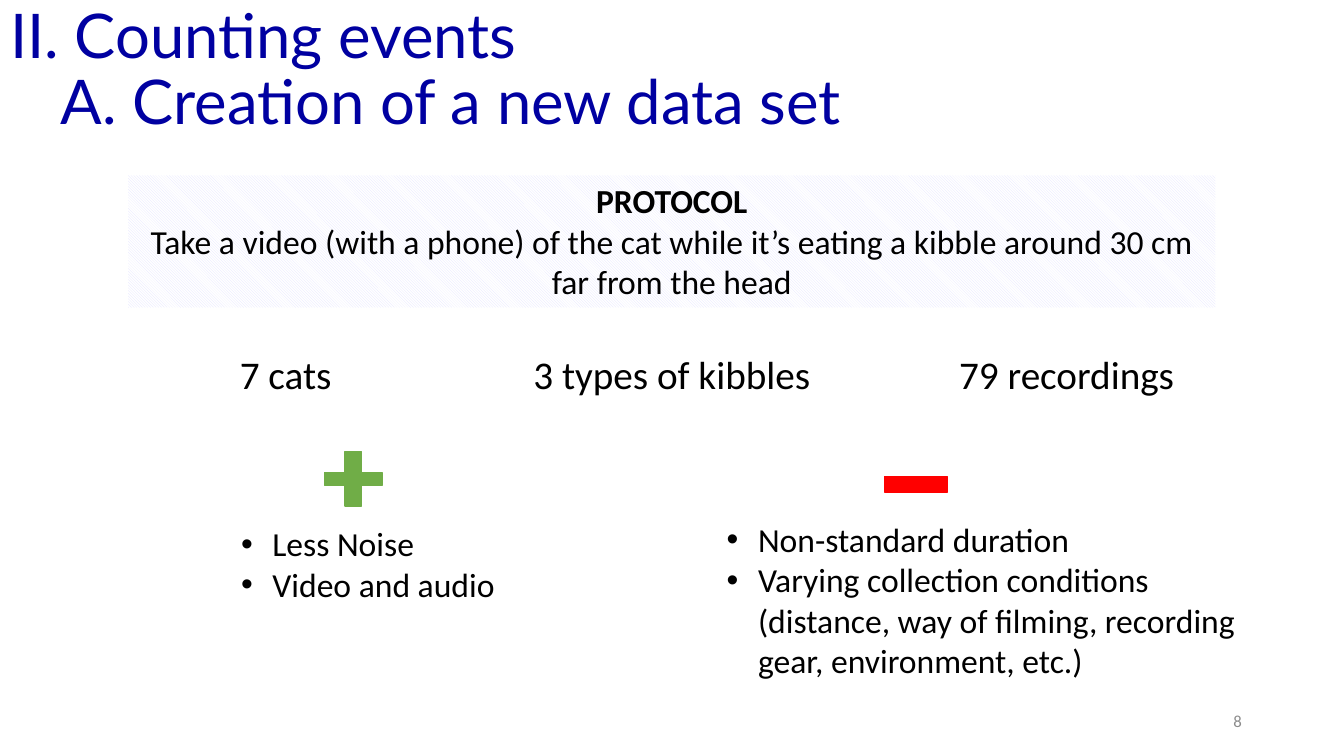
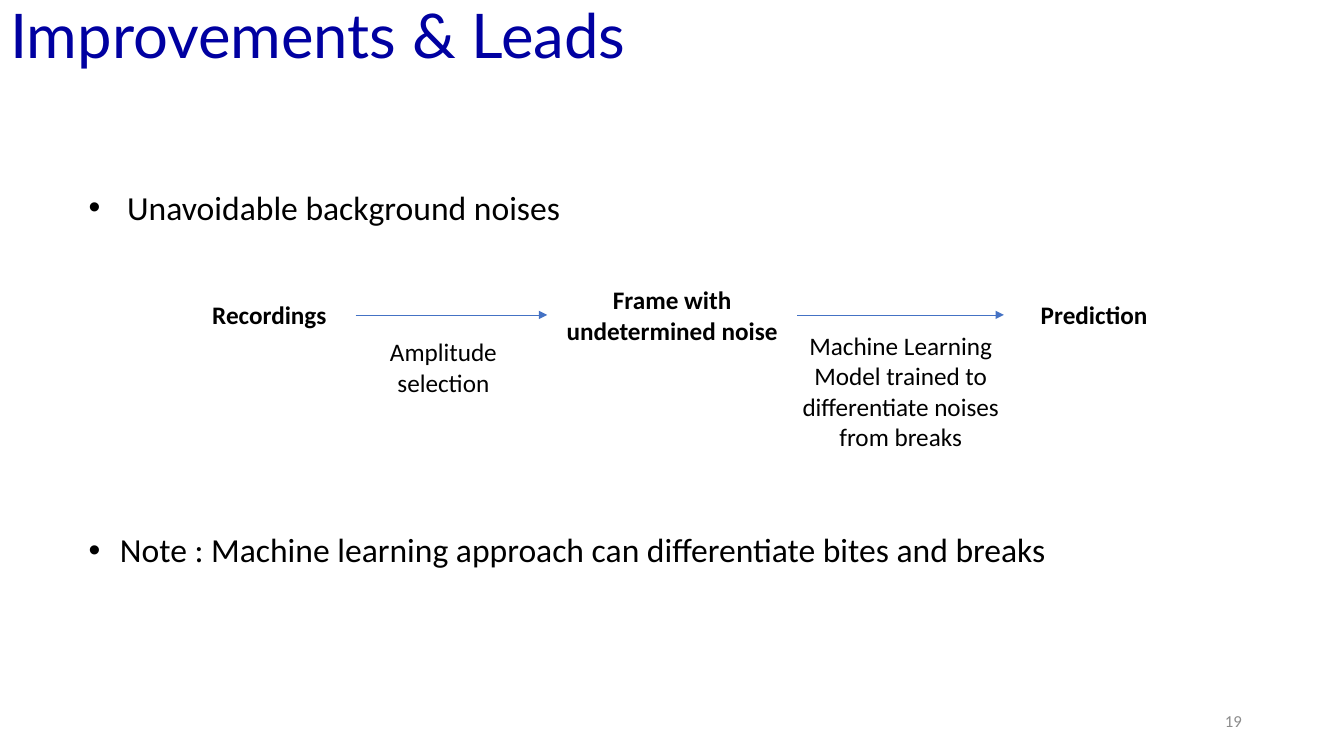
from dataclasses import dataclass

from lxml.etree import SubElement
from pptx import Presentation
from pptx.dml.color import RGBColor
from pptx.enum.dml import MSO_PATTERN
from pptx.enum.shapes import MSO_CONNECTOR, MSO_SHAPE
from pptx.enum.text import MSO_ANCHOR, MSO_AUTO_SIZE, PP_ALIGN
from pptx.oxml.ns import qn
from pptx.presentation import Presentation as Deck
from pptx.shapes.autoshape import Shape
from pptx.shapes.base import BaseShape
from pptx.slide import Slide
from pptx.util import Cm, Pt

COLORS = {
    "title": "0000A1",
    "text": "000000",
    "number": "8C8C8C",
    "stripe": "E1E1FF",
    "white": "FFFFFF",
    "plus": "70AD47",
    "minus": "FF0000",
    "arrow": "4472C4",
}
TITLE_FONT = "Lato"
BODY_FONT = "Calibri"
TWO_CONTENT = 3
LEFT_SIDE, RIGHT_SIDE = 1, 3


@dataclass
class Box:
    """Position and size in centimetres."""
    left: float
    top: float
    width: float
    height: float

    def lengths(self) -> tuple[Cm, Cm, Cm, Cm]:
        return Cm(self.left), Cm(self.top), Cm(self.width), Cm(self.height)


@dataclass
class Label:
    text: str
    box: Box
    size: int


@dataclass
class BulletList:
    items: list[str]
    box: Box
    indent: float = 0.79


@dataclass
class Sign:
    preset: MSO_SHAPE
    box: Box
    color: str


TITLE_BOX = Box(0, 0, 33.87, 3.68)
NUMBER_BOX = Box(23.93, 17.65, 7.62, 1.02)


def rgb(name: str) -> RGBColor:
    return RGBColor.from_string(COLORS[name])


def place(s: BaseShape, box: Box) -> None:
    s.left, s.top, s.width, s.height = box.lengths()


def write(s: Shape, text: str, size: int, align: PP_ALIGN = PP_ALIGN.CENTER,
          anchor: MSO_ANCHOR = MSO_ANCHOR.TOP, bold: bool = False,
          color: str = "text", font: str = BODY_FONT) -> None:
    tf = s.text_frame
    tf.text = text
    tf.word_wrap = True
    tf.auto_size = MSO_AUTO_SIZE.NONE
    tf.vertical_anchor = anchor
    for p in tf.paragraphs:
        p.alignment = align
        for r in p.runs:
            r.font.name = font
            r.font.size = Pt(size)
            r.font.bold = bold
            r.font.color.rgb = rgb(color)


def add_label(sp: Slide, label: Label) -> None:
    s = sp.shapes.add_textbox(*label.box.lengths())
    write(s, label.text, label.size)


def add_shape(sp: Slide, preset: MSO_SHAPE, box: Box) -> Shape:
    """Add a preset shape without shadow, fill or line."""
    s = sp.shapes.add_shape(preset, *box.lengths())
    s.shadow.inherit = False
    s.fill.background()
    s.line.fill.background()
    return s


def add_slide(prs: Deck, title: str, number: int, lists: list[BulletList]) -> Slide:
    sp = prs.slides.add_slide(prs.slide_layouts[TWO_CONTENT])
    place(sp.shapes.title, TITLE_BOX)
    write(sp.shapes.title, title, 44, PP_ALIGN.LEFT, color="title", font=TITLE_FONT)
    sp.shapes.title.text_frame.paragraphs[0].line_spacing = 0.9

    s = sp.shapes.add_textbox(*NUMBER_BOX.lengths())
    write(s, str(number), 12, PP_ALIGN.RIGHT, MSO_ANCHOR.MIDDLE, color="number")

    for idx, bullets in enumerate(lists, start=1):
        fill_list(sp.placeholders[idx], bullets)
    return sp


def fill_list(s: Shape, bullets: BulletList) -> None:
    place(s, bullets.box)
    write(s, "\n".join(bullets.items), 24, PP_ALIGN.LEFT)
    for p in s.text_frame.paragraphs:
        p.space_before = Pt(0)
        pPr = p._p.get_or_add_pPr()
        pPr.set("marL", str(Cm(bullets.indent)))
        pPr.set("indent", str(-Cm(bullets.indent)))


def add_sign(sp: Slide, sign: Sign) -> Shape:
    s = add_shape(sp, sign.preset, sign.box)
    s.fill.solid()
    s.fill.fore_color.rgb = rgb(sign.color)
    s.line.color.rgb = rgb(sign.color)
    s.line.width = Pt(1)
    return s


def add_arrow(sp: Slide, start: Shape, end: Shape) -> None:
    s = sp.shapes.add_connector(MSO_CONNECTOR.STRAIGHT, 0, 0, 0, 0)
    s.begin_connect(start, RIGHT_SIDE)
    s.end_connect(end, LEFT_SIDE)
    s.line.color.rgb = rgb("arrow")
    s.line.width = Pt(0.5)
    SubElement(s.line._get_or_add_ln(), qn("a:tailEnd"), type="triangle")
    SubElement(s._element.spPr, qn("a:effectLst"))


def add_protocol(sp: Slide) -> None:
    s = add_shape(sp, MSO_SHAPE.RECTANGLE, Box(3.23, 4.42, 27.4, 3.33))
    s.fill.patterned()
    s.fill.pattern = MSO_PATTERN.LIGHT_DOWNWARD_DIAGONAL
    s.fill.fore_color.rgb = rgb("stripe")
    s.fill.back_color.rgb = rgb("white")
    write(s, "PROTOCOL\nTake a video (with a phone) of the cat while it’s eating "
             "a kibble around 30 cm far from the head", 24)
    s.text_frame.paragraphs[0].runs[0].font.bold = True


def build_data_set(prs: Deck) -> None:
    sp = add_slide(prs, "II. Counting events\v\tA. Creation of a new data set", 8, [
        BulletList(["Less Noise", "Video and audio"], Box(5.82, 13.06, 10.29, 3.33)),
        BulletList(["Non-standard duration",
                    "Varying collection conditions (distance, way of filming, "
                    "recording gear, environment, etc.)"],
                   Box(18.06, 12.95, 13.46, 4.37)),
    ])
    add_protocol(sp)
    for text, left in (("7 cats", 3.43), ("3 types of kibbles", 13.16),
                       ("79 recordings", 23.11)):
        add_label(sp, Label(text, Box(left, 8.71, 7.54, 1.45), 28))

    plus = add_sign(sp, Sign(MSO_SHAPE.CROSS, Box(8.18, 11.38, 1.45, 1.37), "plus"))
    plus.adjustments[0] = 0.38
    add_sign(sp, Sign(MSO_SHAPE.MATH_MINUS, Box(22, 11.38, 2.16, 1.65), "minus"))


def build_improvements(prs: Deck) -> None:
    sp = add_slide(prs, "Improvements & Leads", 19, [
        BulletList(["Unavoidable background noises"], Box(1.98, 4.57, 13.41, 1.27), 0.97),
        BulletList(["Note : Machine learning approach can differentiate bites and breaks"],
                   Box(1.98, 13.21, 29.57, 1.27)),
    ])
    steps = []
    for text, left, width in (("Recordings", 4.62, 4.34),
                              ("Frame with undetermined noise", 13.79, 6.3),
                              ("Prediction", 25.3, 4.55)):
        s = add_shape(sp, MSO_SHAPE.ROUNDED_RECTANGLE, Box(left, 7.11, width, 1.65))
        write(s, text, 18, anchor=MSO_ANCHOR.MIDDLE, bold=True)
        steps.append(s)
    for start, end in zip(steps, steps[1:]):
        add_arrow(sp, start, end)

    add_label(sp, Label("Amplitude selection", Box(9.55, 8.36, 3.25, 1.8), 18))
    add_label(sp, Label("Machine Learning Model trained to differentiate noises from breaks",
                        Box(19.74, 8.2, 5.92, 3.33), 18))


def main() -> None:
    prs = Presentation()
    prs.slide_width, prs.slide_height = Cm(33.87), Cm(19.05)
    build_data_set(prs)
    build_improvements(prs)
    prs.save("out.pptx")


if __name__ == "__main__":
    main()
